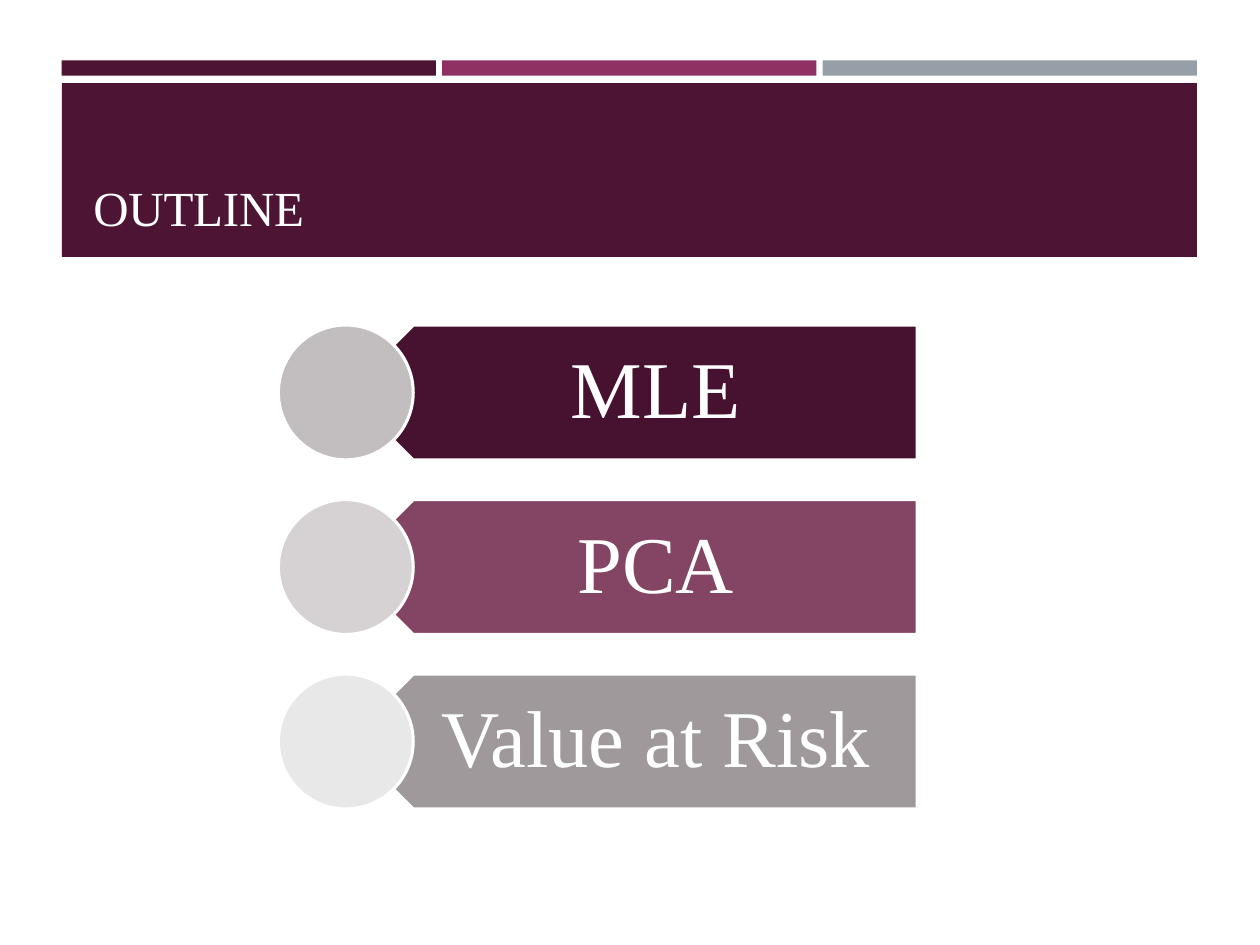
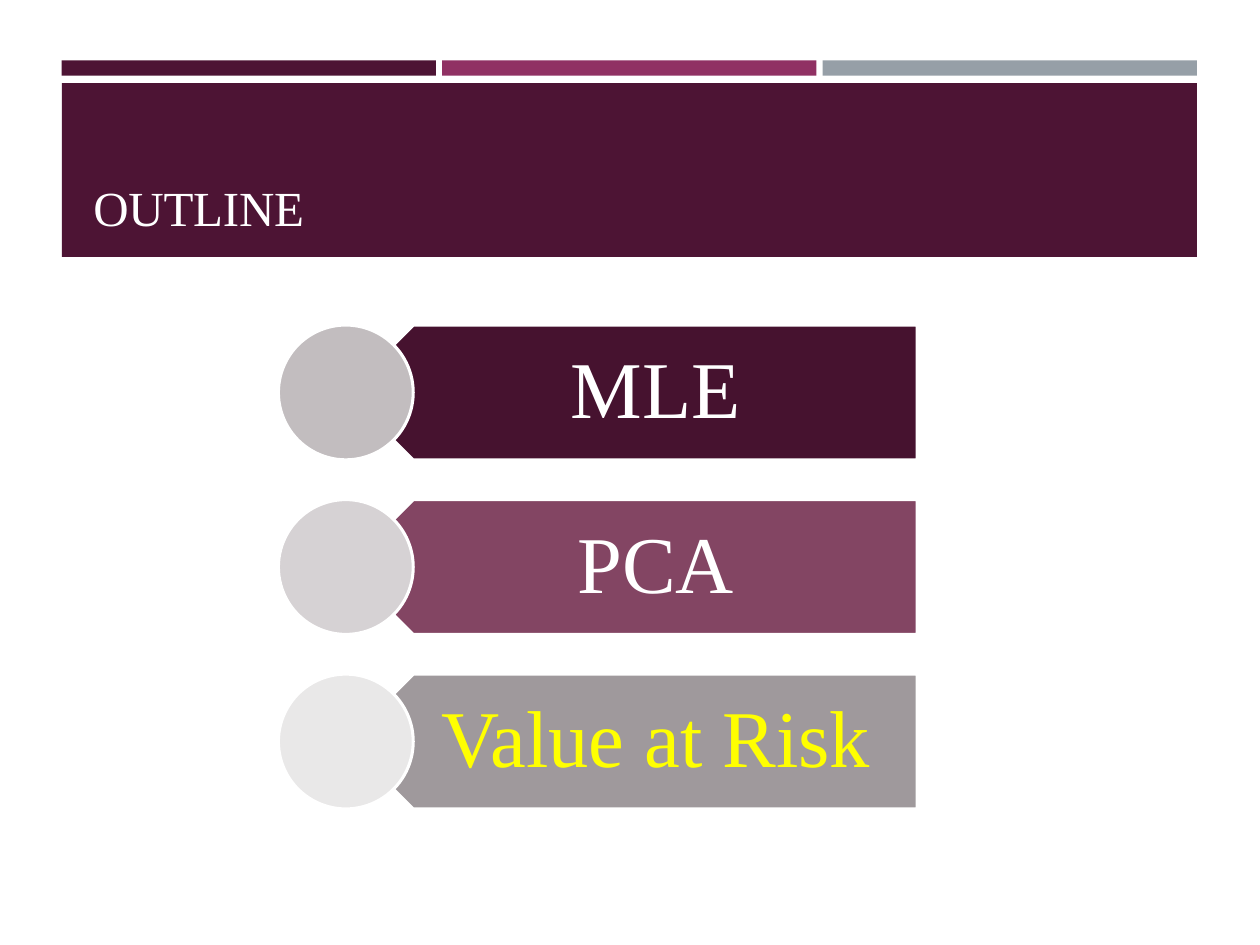
from dataclasses import dataclass

from pptx import Presentation
from pptx.dml.color import RGBColor
from pptx.enum.shapes import MSO_SHAPE
from pptx.enum.text import MSO_ANCHOR, MSO_AUTO_SIZE, PP_ALIGN
from pptx.oxml.ns import qn
from pptx.util import Inches, Pt

WIDTH, HEIGHT = Inches(10), Inches(7.5)


@dataclass(frozen=True)
class Theme:
    font: str = "Times New Roman"
    title_size: float = 28
    topic_size: float = 46
    outline: float = 1.75
    white: str = "FFFFFF"
    highlight: str = "FFFF00"
    header: str = "4D1434"
    strips: tuple = ("4D1434", "903163", "969FA7")
    plates: tuple = ("46122F", "834563", "9F999C")
    circles: tuple = ("C2BDBF", "D6D2D4", "E9E8E8")


THEME = Theme()
TOPICS = ("MLE", "PCA", "Value at Risk")
LEFT, SPAN, STRIP_GAP = 4.9, 90.1, 0.5
ROW_TOP, ROW_HEIGHT, ROW_PITCH = 34.4, 14.27, 18.47
CIRCLE_LEFT, PLATE_RIGHT = 22.1, 72.8


def share(x, y, w, h):
    return [int(part * size / 100)
            for part, size in zip((x, y, w, h), (WIDTH, HEIGHT, WIDTH, HEIGHT))]


def apply(obj, formats):
    for name, value in formats.items():
        setattr(obj, name, value)


def add_filled(shapes, kind, box, fill, line=None):
    sp = shapes.add_shape(kind, *share(*box))
    sp.shadow.inherit = False
    sp.fill.solid()
    sp.fill.fore_color.rgb = RGBColor.from_string(fill)
    if line:
        sp.line.color.rgb = RGBColor.from_string(line)
        sp.line.width = Pt(THEME.outline)
    else:
        sp.line.fill.background()
    return sp


def write(sp, text, size, color, frame, paragraph):
    tf = sp.text_frame
    apply(tf, {"word_wrap": True, "auto_size": MSO_AUTO_SIZE.NONE, **frame})
    p = tf.paragraphs[0]
    apply(p, paragraph)
    r = p.add_run()
    r.text = text
    apply(r.font, {"name": THEME.font, "size": Pt(size)})
    r.font.color.rgb = RGBColor.from_string(color)


def add_header(s, text):
    strip = (SPAN - STRIP_GAP * (len(THEME.strips) - 1)) / len(THEME.strips)
    for i, color in enumerate(THEME.strips):
        x = LEFT + i * (strip + STRIP_GAP)
        add_filled(s.shapes, MSO_SHAPE.RECTANGLE, (x, 6.4, strip, 1.6), color)
    add_filled(s.shapes, MSO_SHAPE.RECTANGLE, (LEFT, 8.8, SPAN, 18.4), THEME.header)

    title = s.shapes.title
    s.shapes.element.append(title.element)
    apply(title, dict(zip(("left", "top", "width", "height"),
                          share(6.4, 10, 87.4, 15.73))))
    write(title, text, THEME.title_size, THEME.white,
          {"vertical_anchor": MSO_ANCHOR.BOTTOM}, {"alignment": PP_ALIGN.LEFT})
    for props in title.element.iter(qn("a:rPr")):
        props.set("spc", "-10")


def add_topic(s, row, text, color):
    shapes = s.shapes.add_group_shape().shapes
    y = ROW_TOP + row * ROW_PITCH
    diameter = ROW_HEIGHT * HEIGHT / WIDTH
    plate_left = CIRCLE_LEFT + diameter / 2
    plate = add_filled(shapes, MSO_SHAPE.PENTAGON,
                       (plate_left, y, PLATE_RIGHT - plate_left, ROW_HEIGHT),
                       THEME.plates[row], THEME.white)
    plate.rotation = 180
    label = shapes.add_textbox(*share(30.1, y, 42.8, ROW_HEIGHT))
    write(label, text, THEME.topic_size, color,
          {"vertical_anchor": MSO_ANCHOR.MIDDLE,
           "margin_left": Inches(0.47), "margin_right": Inches(0.36),
           "margin_top": Inches(0.19), "margin_bottom": Inches(0.19)},
          {"alignment": PP_ALIGN.CENTER, "line_spacing": 0.9})
    add_filled(shapes, MSO_SHAPE.OVAL, (CIRCLE_LEFT, y, diameter, ROW_HEIGHT),
               THEME.circles[row], THEME.white)


def add_outline(prs, current=None):
    s = prs.slides.add_slide(prs.slide_layouts.get_by_name("Title Only"))
    add_header(s, "OUTLINE")
    for row, topic in enumerate(TOPICS):
        add_topic(s, row, topic, THEME.highlight if topic == current else THEME.white)


def main():
    prs = Presentation()
    apply(prs, {"slide_width": WIDTH, "slide_height": HEIGHT})
    add_outline(prs)
    add_outline(prs, current="Value at Risk")
    prs.save("out.pptx")


if __name__ == "__main__":
    main()
